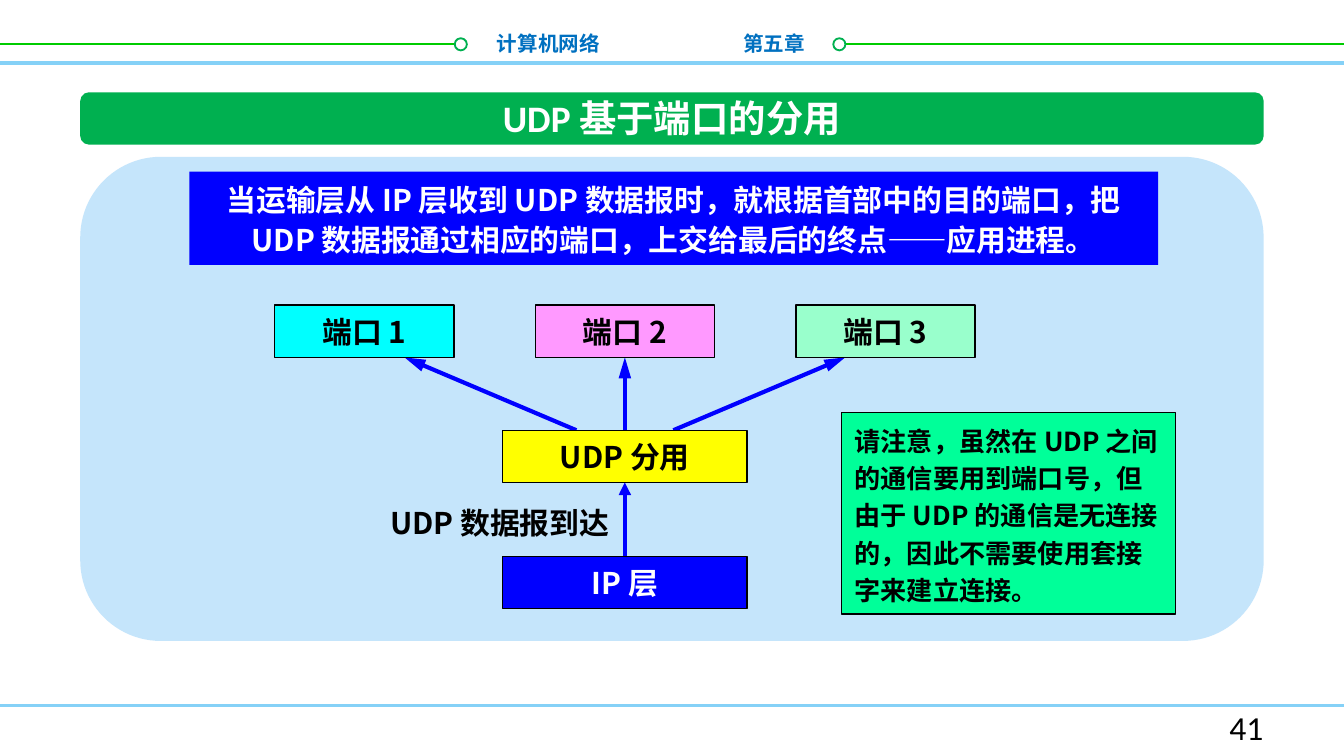
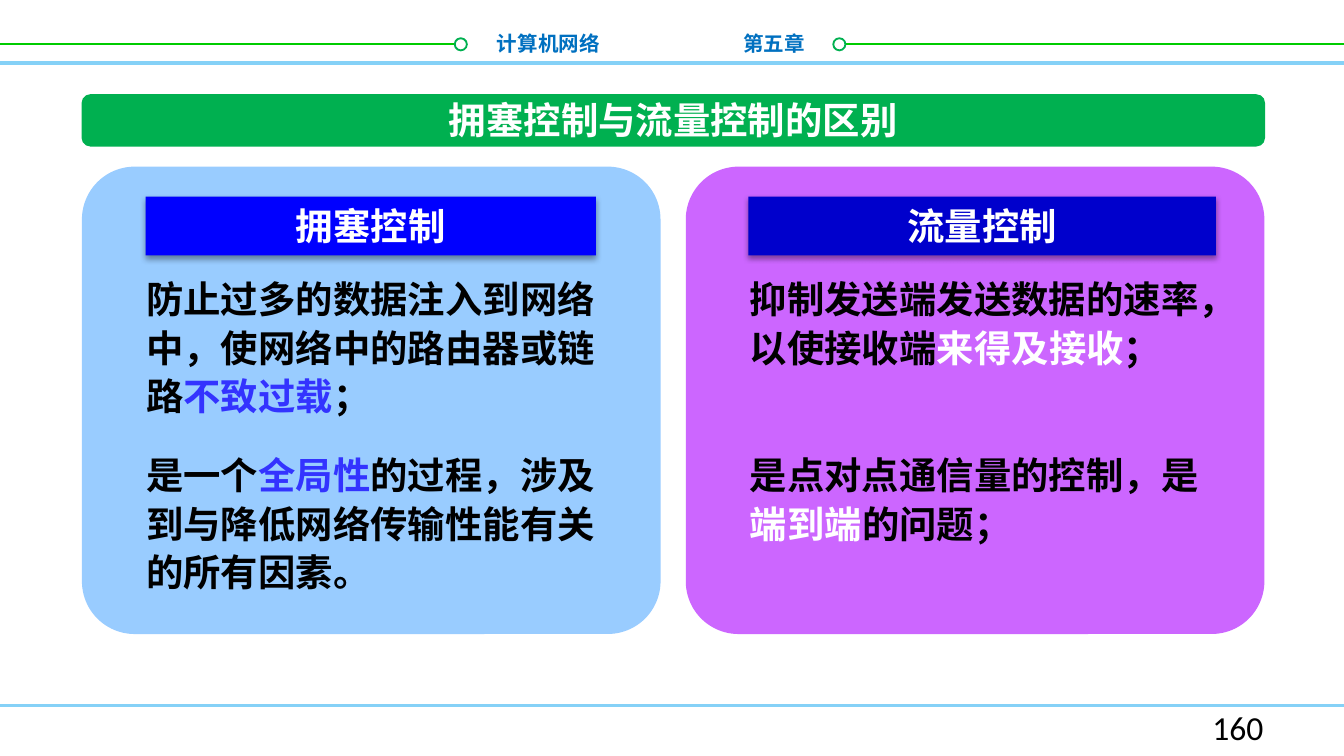
import pptx
import pptx.util
import pptx.dml.color
import pptx.enum.shapes
import pptx.enum.text
import pptx.oxml
import pptx.oxml.ns

Pt = pptx.util.Pt
RGBColor = pptx.dml.color.RGBColor
SHAPE = pptx.enum.shapes.MSO_SHAPE
ALIGN = pptx.enum.text.PP_ALIGN
ANCHOR = pptx.enum.text.MSO_ANCHOR
qn = pptx.oxml.ns.qn

# Colours
WHITE = RGBColor(0xFF, 0xFF, 0xFF)
BLACK = RGBColor(0x00, 0x00, 0x00)
SKY = RGBColor(0x85, 0xD1, 0xF7)
LIME = RGBColor(0x00, 0xCC, 0x00)
GREEN = RGBColor(0x00, 0xB0, 0x50)
HEADER_BLUE = RGBColor(0x00, 0x70, 0xC0)
BLUE = RGBColor(0x00, 0x00, 0xFF)
DARK_BLUE = RGBColor(0x00, 0x00, 0xCC)
ACCENT_BLUE = RGBColor(0x33, 0x33, 0xFF)
PALE_BLUE = RGBColor(0xC5, 0xE5, 0xFB)
PANEL_BLUE = RGBColor(0x99, 0xCC, 0xFF)
PANEL_PURPLE = RGBColor(0xCC, 0x66, 0xFF)
CYAN = RGBColor(0x00, 0xFF, 0xFF)
PINK = RGBColor(0xFF, 0x99, 0xFF)
MINT = RGBColor(0x99, 0xFF, 0xCC)
YELLOW = RGBColor(0xFF, 0xFF, 0x00)
NOTE_GREEN = RGBColor(0x00, 0xFF, 0x99)

CJK = "Noto Sans CJK SC"
LATIN = "Calibri"

SLIDE_W, SLIDE_H = 720, 405


# Elements
def write(shape, pieces, size, color=BLACK, align=ALIGN.LEFT, font=CJK,
          bold=True, spacing=None, wrap=True, anchor=ANCHOR.TOP):
    """Fill a shape with one paragraph of (text, colour) pieces or a string."""
    if isinstance(pieces, str):
        pieces = [(pieces, color)]
    frame = shape.text_frame
    frame.word_wrap = wrap
    frame.vertical_anchor = anchor
    paragraph = frame.paragraphs[0]
    paragraph.alignment = align
    if spacing:
        paragraph.line_spacing = spacing
    for text, piece_color in pieces:
        run = paragraph.add_run()
        run.text = text
        run.font.size = Pt(size)
        run.font.bold = bold
        run.font.name = font
        run.font.color.rgb = piece_color
        east_asian = pptx.oxml.parse_xml(
            f'<a:ea {pptx.oxml.ns.nsdecls("a")} typeface="{CJK}"/>')
        run.font._element.find(qn("a:latin")).addnext(east_asian)


def add_text(slide, box, pieces, size, **style):
    label = slide.shapes.add_textbox(*map(Pt, box))
    write(label, pieces, size, **style)


def add_block(slide, kind, box, fill, line=None, width=0.75, radius=None):
    block = slide.shapes.add_shape(kind, *map(Pt, box))
    block.shadow.inherit = False
    block.fill.solid()
    block.fill.fore_color.rgb = fill
    if line is None:
        block.line.fill.background()
    else:
        block.line.color.rgb = line
        block.line.width = Pt(width)
    if radius is not None:
        block.adjustments[0] = radius
    return block


def add_line(slide, start, end, color, width, arrow_length=None):
    line = slide.shapes.add_connector(
        pptx.enum.shapes.MSO_CONNECTOR.STRAIGHT, *map(Pt, start + end))
    line.line.color.rgb = color
    line.line.width = Pt(width)
    properties = line._element.spPr
    if arrow_length:
        properties.find(qn("a:ln")).append(pptx.oxml.parse_xml(
            f'<a:tailEnd {pptx.oxml.ns.nsdecls("a")} type="triangle" '
            f'w="med" len="{arrow_length}"/>'))
    properties.append(pptx.oxml.parse_xml(
        f'<a:effectLst {pptx.oxml.ns.nsdecls("a")}/>'))


def add_drop_shadow(block):
    effects = block._element.spPr.find(qn("a:effectLst"))
    effects.append(pptx.oxml.parse_xml(
        f'<a:outerShdw {pptx.oxml.ns.nsdecls("a")} blurRad="{Pt(3.1)}" '
        f'dist="{Pt(1.6)}" dir="5400000" rotWithShape="0">'
        '<a:srgbClr val="000000"><a:alpha val="38000"/></a:srgbClr>'
        '</a:outerShdw>'))


def add_node(slide, box, text, fill, color=BLACK):
    node = add_block(slide, SHAPE.RECTANGLE, box, fill, BLACK)
    write(node, text, 16, color, ALIGN.CENTER, wrap=False,
          anchor=ANCHOR.MIDDLE)


# Shared parts
def add_frame(slide, number):
    """Header rules and captions, footer rule and slide number."""
    add_line(slide, (0, 33.6), (SLIDE_W, 33.6), SKY, 2)
    header_y, ring = 23.75, 6.5
    for start, end, ring_left in ((0, 245, 243.6), (446.4, SLIDE_W, 446.4)):
        add_line(slide, (start, header_y), (end, header_y), LIME, 1)
        add_block(slide, SHAPE.OVAL,
                  (ring_left, header_y - ring / 2, ring, ring),
                  WHITE, GREEN, 1)
    add_text(slide, (258.5, 13, 70, 21), "计算机网络", 11,
             color=HEADER_BLUE, align=ALIGN.RIGHT, wrap=False)
    add_text(slide, (391, 13, 83.5, 21), "第五章", 11, color=HEADER_BLUE)
    add_line(slide, (0, 378), (SLIDE_W, 378), SKY, 1.5)
    add_text(slide, (516.25, 375.3, 167.75, 21.6), str(number), 18,
             align=ALIGN.RIGHT, font=LATIN, bold=False)


def add_title(slide, text, left, top, font=CJK):
    width = 634
    add_block(slide, SHAPE.ROUNDED_RECTANGLE, (left, top, width, 28), GREEN,
              radius=0.167)
    add_text(slide, (left, top - 2, width, 31.7), text, 20,
             color=WHITE, align=ALIGN.CENTER, font=font)


# Slides
def build_demultiplexing(slide):
    add_frame(slide, 41)
    add_title(slide, "UDP 基于端口的分用", 43, 49.5, LATIN)
    add_block(slide, SHAPE.ROUNDED_RECTANGLE, (43, 84, 634, 259.4), PALE_BLUE)

    summary = add_block(slide, SHAPE.RECTANGLE, (101.5, 92, 519, 50), BLUE)
    write(summary,
          "当运输层从 IP 层收到 UDP 数据报时，就根据首部中的目的端口，把 "
          "UDP 数据报通过相应的端口，上交给最后的终点——应用进程。",
          16, WHITE, ALIGN.CENTER, spacing=1.1)

    # Tree: IP layer, UDP, then three ports
    axis, node_h = 334.75, 28
    port_w, port_gap, port_top = 96, 139.6, 163.5
    layer_w, udp_top, ip_top = 131, 230.5, 298
    port_bottom = port_top + node_h

    add_line(slide, (axis, ip_top), (axis, udp_top + node_h), BLUE, 2.25,
             "med")
    for side, fill in zip((-1, 0, 1), (CYAN, PINK, MINT)):
        add_line(slide, (axis + side * 26, udp_top),
                 (axis + side * 118, port_bottom), BLUE, 2.25, "lg")
        add_node(slide,
                 (axis + side * port_gap - port_w / 2, port_top,
                  port_w, node_h), f"端口 {side + 2}", fill)
    layer_left = axis - layer_w / 2
    add_node(slide, (layer_left, udp_top, layer_w, node_h), "UDP 分用", YELLOW)
    add_node(slide, (layer_left, ip_top, layer_w, node_h), "IP 层", BLUE,
             WHITE)
    add_text(slide, (202, 267, 136, 26.6), "UDP 数据报到达", 16, wrap=False)

    note = add_block(slide, SHAPE.RECTANGLE, (450.75, 221, 179, 108),
                     NOTE_GREEN, BLACK)
    write(note,
          "请注意，虽然在 UDP 之间的通信要用到端口号，但由于 UDP "
          "的通信是无连接的，因此不需要使用套接字来建立连接。",
          14, spacing=Pt(20))


def add_comparison(slide, panel_left, panel_fill, heading, heading_left,
                   heading_w, heading_fill, text_left, points):
    """One panel with a heading and two points."""
    add_block(slide, SHAPE.ROUNDED_RECTANGLE, (panel_left, 89.3, 310, 250.4),
              panel_fill, radius=0.113)
    banner = add_block(slide, SHAPE.RECTANGLE,
                       (heading_left, 105.4, heading_w, 31.5), heading_fill)
    add_drop_shadow(banner)
    write(banner, heading, 20, WHITE, ALIGN.CENTER)
    for top, point in zip((142.6, 236.9), points):
        add_text(slide, (text_left, top, 267, 86), point, 20, spacing=Pt(26))


def build_control_comparison(slide):
    add_frame(slide, 160)
    add_title(slide, "拥塞控制与流量控制的区别", 43.75, 50.5)
    add_comparison(
        slide, 43.9, PANEL_BLUE, "拥塞控制", 78, 241.2, BLUE, 71.2,
        [[("防止过多的数据注入到网络中，使网络中的路由器或链路", BLACK),
          ("不致过载", ACCENT_BLUE), ("；", BLACK)],
         [("是一个", BLACK), ("全局性", ACCENT_BLUE),
          ("的过程，涉及到与降低网络传输性能有关的所有因素。", BLACK)]])
    add_comparison(
        slide, 367.4, PANEL_PURPLE, "流量控制", 401, 250.4, DARK_BLUE, 394.6,
        [[("抑制发送端发送数据的速率，以使接收端", BLACK),
          ("来得及接收", WHITE), ("；", BLACK)],
         [("是点对点通信量的控制，是", BLACK), ("端到端", WHITE),
          ("的问题；", BLACK)]])


def main():
    deck = pptx.Presentation()
    deck.slide_width, deck.slide_height = Pt(SLIDE_W), Pt(SLIDE_H)
    blank = deck.slide_layouts[6]
    for build in (build_demultiplexing, build_control_comparison):
        build(deck.slides.add_slide(blank))
    deck.save("out.pptx")


if __name__ == "__main__":
    main()
